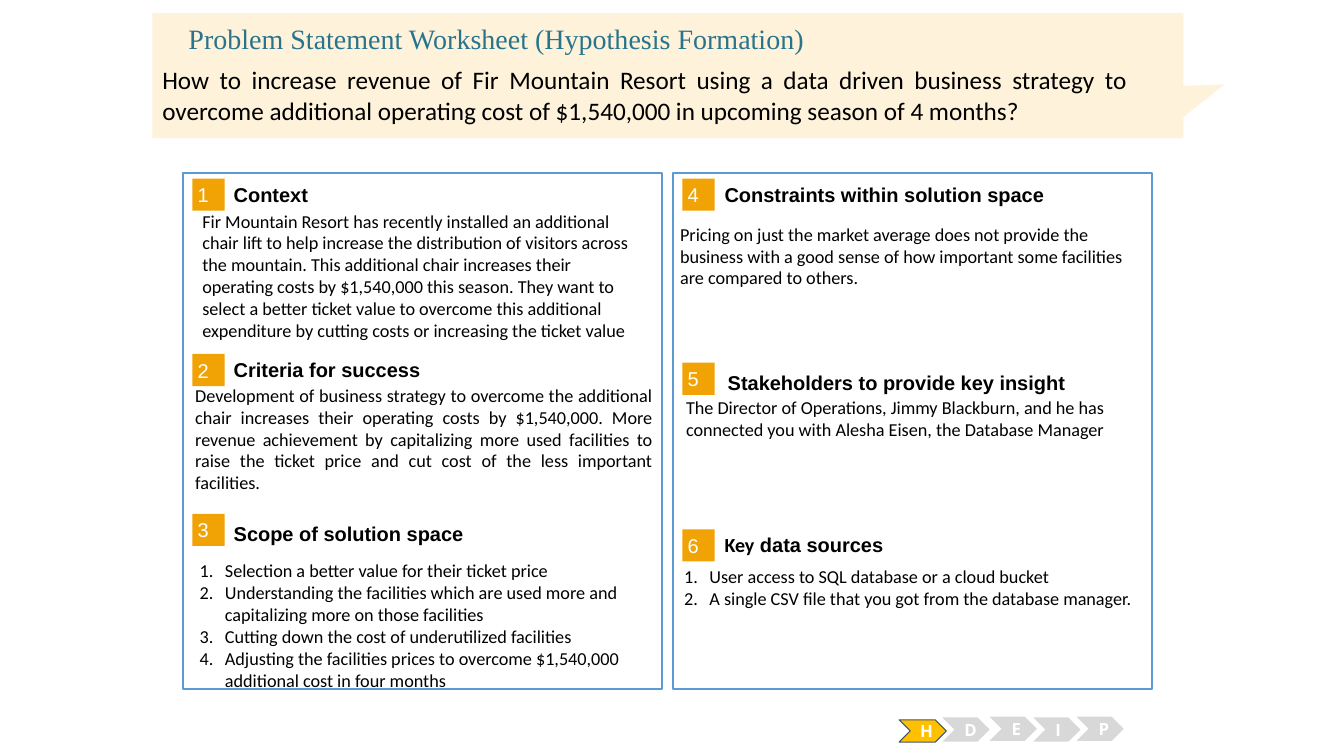
from pptx import Presentation
from pptx import util as u
from pptx.dml import color
from pptx.enum import shapes, text
from pptx.oxml import xmlchemy

COLORS = {
    "white": "FFFFFF", "black": "000000", "border": "5B9BD5",
    "badge": "F1A205", "banner": "FEF2DA", "title": "29748D",
    "active": "FFC000", "outline": "44546A", "idle": "D8D8D8",
}
SHAPE = shapes.MSO_SHAPE
ALIGN = text.PP_ALIGN
MIDDLE = text.MSO_ANCHOR.MIDDLE
PAD = (0.25, 0.13)
BADGE = 0.81


def rgb(name):
    """Return the named colour."""
    return color.RGBColor.from_string(COLORS[name])


class Worksheet:
    """Holds the style and the slide being drawn."""

    heading_size, body_size = 14.3, 13

    def __init__(self, s):
        """Keep the slide to draw on."""
        self.s = s

    def shape(self, kind, box, fill, line=None, width=1.5):
        """Add a flat preset shape; box is in centimetres."""
        sp = self.s.shapes.add_shape(kind, *map(u.Cm, box))
        sp.shadow.inherit = False
        sp.fill.solid()
        sp.fill.fore_color.rgb = rgb(fill)
        if line:
            sp.line.color.rgb = rgb(line)
            sp.line.width = u.Pt(width)
        else:
            sp.line.fill.background()
        return sp

    def set_text(self, sp, paragraphs, size, font="Calibri", ink="black", bold=False,
                 align=ALIGN.LEFT, anchor=text.MSO_ANCHOR.TOP, pad=PAD, numbered=False):
        """Fill a shape with paragraphs, each a list of (words, font or None) runs."""
        tf = sp.text_frame
        tf.word_wrap = True
        tf.vertical_anchor = anchor
        tf.margin_left = tf.margin_right = u.Cm(pad[0])
        tf.margin_top = tf.margin_bottom = u.Cm(pad[1])
        for i, runs in enumerate(paragraphs):
            p = tf.add_paragraph() if i else tf.paragraphs[0]
            p.alignment = align
            for words, own_font in runs:
                r = p.add_run()
                r.text = words
                r.font.name = own_font or font
                r.font.size = u.Pt(size)
                r.font.bold = bold
                r.font.color.rgb = rgb(ink)
            if numbered:
                self.number(p)

    def number(self, p):
        """Give a paragraph an automatic number and a hanging indent."""
        pPr = p._p.get_or_add_pPr()
        pPr.set("marL", str(u.Cm(0.64)))
        pPr.set("indent", str(-u.Cm(0.64)))
        bullet = xmlchemy.OxmlElement("a:buAutoNum")
        bullet.set("type", "arabicPeriod")
        pPr.append(bullet)

    def label(self, box, paragraphs, size, **style):
        """Add a text box."""
        sp = self.s.shapes.add_textbox(*map(u.Cm, box))
        self.set_text(sp, paragraphs, size, **style)

    def badge(self, left, top, digit):
        """Add a numbered square."""
        sp = self.shape(SHAPE.RECTANGLE, (left, top, BADGE, BADGE), "badge")
        self.set_text(sp, [[(digit, None)]], self.heading_size, font="Arial",
                      ink="white", anchor=MIDDLE, pad=(0.13, 0.13))

    def section(self, digit, badge_at, heading_at, heading, body_box, body, **style):
        """Add a badge, its heading and the body below."""
        self.badge(*badge_at, digit)
        self.label((*heading_at, 9.98, 0.64), [heading], self.heading_size,
                   font="Arial", bold=True, anchor=MIDDLE, pad=(0, 0))
        self.label(body_box, [[(line, None)] for line in body], self.body_size, **style)

    def stage(self, letter, left, top, height, active):
        """Add one chevron of the stage tracker."""
        sp = self.shape(SHAPE.CHEVRON, (left, top, 1.19, height),
                        "active" if active else "idle",
                        "outline" if active else None, 0.75)
        self.set_text(sp, [[(letter, None)]], 12, font="Open Sans", ink="white",
                      bold=True, align=ALIGN.CENTER, anchor=MIDDLE)


SECTIONS = [
    ("1", (4.85, 4.5), (5.89, 4.57), [("Context", None)], (4.85, 5.16, 11.56, 3.38),
     ["Fir Mountain Resort has recently installed an additional chair lift to help "
      "increase the distribution of visitors across the mountain. This additional chair "
      "increases their operating costs by $1,540,000 this season. They want to select a "
      "better ticket value to overcome this additional expenditure by cutting costs or "
      "increasing the ticket value"], {}),
    ("2", (4.85, 8.92), (5.89, 8.99), [("Criteria for success", None)],
     (4.67, 9.55, 12.01, 3.91),
     ["Development of business strategy to overcome the additional chair increases their "
      "operating costs by $1,540,000. More revenue achievement by capitalizing more used "
      "facilities to raise the ticket price and cut cost of the less important "
      "facilities."], {"align": ALIGN.JUSTIFY}),
    ("3", (4.85, 12.95), (5.89, 13.13), [("Scope of solution space", None)],
     (4.78, 13.97, 12.01, 3.4),
     ["Selection a better value for their ticket price",
      "Understanding the facilities which are used more and capitalizing more on those "
      "facilities",
      "Cutting down the cost of underutilized facilities",
      "Adjusting the facilities prices to overcome $1,540,000 additional cost in four "
      "months"], {"numbered": True}),
    ("4", (17.2, 4.5), (18.26, 4.57), [("Constraints within solution space", None)],
     (16.89, 5.49, 12.09, 3.48),
     ["Pricing on just the market average does not provide the business with a good sense "
      "of how important some facilities are compared to others."], {}),
    ("5", (17.2, 9.14), (18.34, 9.32), [("Stakeholders to provide key insight", None)],
     (17.04, 9.86, 12.01, 3.23),
     ["The Director of Operations, Jimmy Blackburn, and he has connected you with Alesha "
      "Eisen, the Database Manager"], {}),
    ("6", (17.2, 13.34), (18.26, 13.41), [("Key", "Calibri"), (" data sources", None)],
     (16.99, 14.12, 12.01, 3),
     ["User access to SQL database or a cloud bucket",
      "A single CSV file that you got from the database manager."], {"numbered": True}),
]
STAGES = [("H", 22.66, 18.14, 0.56), ("D", 23.75, 18.08, 0.61), ("E", 24.94, 18.06, 0.61),
          ("I", 26.04, 18.08, 0.61), ("P", 27.13, 18.06, 0.61)]


def main():
    """Build the worksheet slide."""
    prs = Presentation()
    prs.slide_width, prs.slide_height = u.Cm(33.87), u.Cm(19.05)
    sheet = Worksheet(prs.slides.add_slide(prs.slide_layouts[6]))

    for left in (4.62, 16.97):
        sheet.shape(SHAPE.RECTANGLE, (left, 4.37, 12.07, 13), "white", "border")
    for *parts, style in SECTIONS:
        sheet.section(*parts, **style)
    for letter, left, top, height in STAGES:
        sheet.stage(letter, left, top, height, active=letter == "H")

    banner = sheet.shape(SHAPE.RECTANGULAR_CALLOUT, (3.84, 0.33, 25.98, 3.15), "banner")
    banner.adjustments[0], banner.adjustments[1] = 0.54, 0.07
    sheet.label((4.75, 0.53, 24.43, 0.86),
                [[("Problem Statement Worksheet (Hypothesis Formation)", None)]],
                20, font="Times New Roman", ink="title", pad=(0, 0))
    sheet.label((3.84, 1.5, 24.82, 2.03),
                [[("How to increase revenue of Fir Mountain Resort using a data driven "
                   "business strategy to overcome additional operating cost of $1,540,000 "
                   "in upcoming season of 4 months?", None)]], 18, align=ALIGN.JUSTIFY)
    prs.save("out.pptx")


main()
